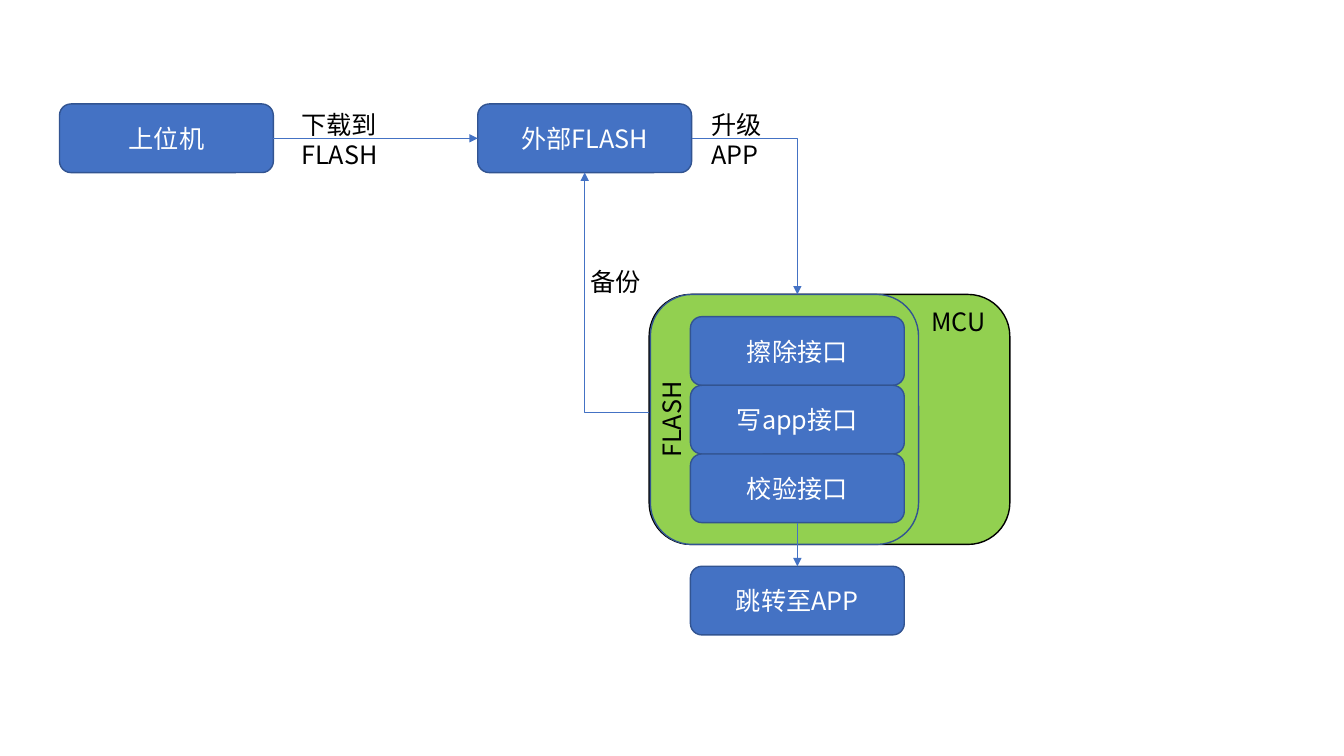
from dataclasses import dataclass

from pptx import Presentation
from pptx.dml.color import RGBColor
from pptx.enum.shapes import MSO_CONNECTOR as Link, MSO_SHAPE as Shape
from pptx.enum.text import MSO_ANCHOR as Anchor, MSO_AUTO_SIZE as Fit, PP_ALIGN as Align
from pptx.oxml.ns import qn
from pptx.util import Cm, Pt
from lxml.etree import SubElement


@dataclass(frozen=True)
class Theme:
    font: str = "Noto Sans CJK SC"
    size: float = 18
    node: str = "4472C4"
    edge: str = "325491"
    chip: str = "92D050"
    dark: str = "000000"
    light: str = "FFFFFF"
    outline: float = 1
    arrow: float = 0.5


class Diagram:
    def __init__(self, page, theme):
        self.page, self.theme = page, theme

    def set_text(self, box, text, color, align, anchor, fit):
        frame = box.text_frame
        for name, value in dict(word_wrap=True, vertical_anchor=anchor, auto_size=fit).items():
            setattr(frame, name, value)
        para = frame.paragraphs[0]
        para.alignment = align
        span = para.add_run()
        span.text = text
        for name, value in dict(name=self.theme.font, size=Pt(self.theme.size)).items():
            setattr(span.font, name, value)
        span.font.color.rgb = RGBColor.from_string(color)
        SubElement(span._r.get_or_add_rPr(), qn("a:ea"), typeface=self.theme.font)

    def block(self, left, top, width, height, fill, edge):
        box = self.page.shapes.add_shape(
            Shape.ROUNDED_RECTANGLE, Cm(left), Cm(top), Cm(width), Cm(height))
        box.shadow.inherit = False
        box.fill.solid()
        box.fill.fore_color.rgb = RGBColor.from_string(fill)
        box.line.color.rgb = RGBColor.from_string(edge)
        box.line.width = Pt(self.theme.outline)
        return box

    def node(self, text, left, top):
        box = self.block(left, top, NODE_WIDTH, NODE_HEIGHT, self.theme.node, self.theme.edge)
        self.set_text(box, text, self.theme.light, Align.CENTER, Anchor.MIDDLE, Fit.NONE)
        return box

    def label(self, text, left, top, width, align=Align.LEFT, rotation=0):
        box = self.page.shapes.add_textbox(Cm(left), Cm(top), Cm(width), Cm(1.02))
        box.rotation = rotation
        self.set_text(box, text, self.theme.dark, align, Anchor.TOP, Fit.SHAPE_TO_FIT_TEXT)

    def arrow(self, kind, start, end):
        line = self.page.shapes.add_connector(kind, *start, *end)
        line.line.color.rgb = RGBColor.from_string(self.theme.node)
        line.line.width = Pt(self.theme.arrow)
        properties = line._element.spPr
        SubElement(properties.find(qn("a:ln")), qn("a:tailEnd"), type="triangle")
        SubElement(properties, qn("a:effectLst"))
        if kind == Link.ELBOW:  # one corner: across first, then up or down
            properties.find(qn("a:prstGeom")).set("prst", "bentConnector2")
        return line

    def join(self, first, first_site, second, second_site):
        line = self.arrow(Link.STRAIGHT, (0, 0), (0, 0))
        line.begin_connect(first, first_site)
        line.end_connect(second, second_site)


# Layout in centimetres
NODE_WIDTH, NODE_HEIGHT = 5.39, 1.73
TOP_ROW, COLUMN = 2.62, 17.4
CHIP_LEFT, CHIP_TOP, CHIP_HEIGHT = 16.36, 7.42, 6.3
STACK_TOP = 7.98
TOP, LEFT, BOTTOM, RIGHT = range(4)  # connection sites

deck = Presentation()
deck.slide_width, deck.slide_height = Cm(33.87), Cm(19.05)
theme = Theme()
diagram = Diagram(deck.slides.add_slide(deck.slide_layouts[6]), theme)

# MCU and its flash area
diagram.block(CHIP_LEFT, CHIP_TOP, 9.09, CHIP_HEIGHT, theme.chip, theme.dark)
diagram.block(CHIP_LEFT + 0.03, CHIP_TOP, 6.76, CHIP_HEIGHT, theme.chip, theme.edge)

# Nodes
host = diagram.node("上位机", 1.5, TOP_ROW)
interfaces = [diagram.node(text, COLUMN, STACK_TOP + row * NODE_HEIGHT)
              for row, text in enumerate(("擦除接口", "写app接口", "校验接口"))]
external = diagram.node("外部FLASH", 12.04, TOP_ROW)
jump = diagram.node("跳转至APP", COLUMN, 14.27)

# Arrows
middle = external.top + external.height // 2
column_middle = jump.left + jump.width // 2
diagram.join(host, RIGHT, external, LEFT)
diagram.join(interfaces[-1], BOTTOM, jump, TOP)
diagram.arrow(Link.ELBOW, (external.left + external.width, middle),
              (column_middle, Cm(CHIP_TOP)))
diagram.arrow(Link.ELBOW, (Cm(CHIP_LEFT), Cm(10.39)),
              (external.left + external.width // 2, external.top + external.height))

# Labels
diagram.label("MCU", 23.22, 7.59, 2.2)
diagram.label("FLASH", 15.65, 10.06, 2.54, Align.CENTER, 270)
diagram.label("备份", 14.63, 6.58, 2)
diagram.label("升级APP", 17.68, TOP_ROW, 2.4)
diagram.label("下载到FLASH", 7.34, TOP_ROW, 3.6)

deck.save("out.pptx")
